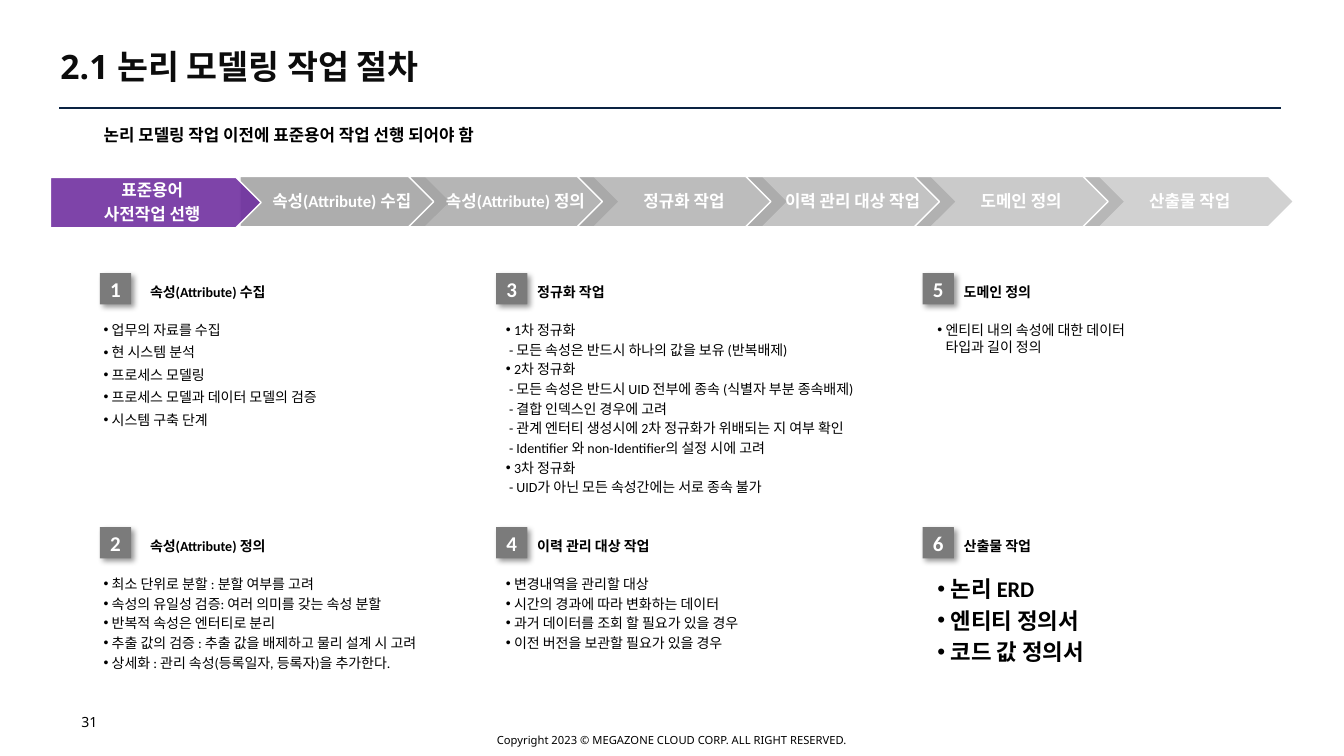
from dataclasses import dataclass
from pptx import Presentation
from pptx import util as u
from pptx.dml.color import RGBColor
from pptx.enum import shapes, text
from pptx.oxml import parse_xml
from pptx.oxml.ns import nsdecls, qn
from lxml import etree


@dataclass(frozen=True)
class Theme:
    black: str = "000000"
    title: str = "0C0C0C"
    white: str = "FFFFFF"
    rule: str = "0A2342"
    step: str = "A5A5A5"
    first_step: str = "7030A0"
    badge: str = "7B7B7B"
    heading_font: str = "Noto Sans"
    body_font: str = "Calibri"
    copyright_pt: float = 8
    body_pt: float = 10
    step_pt: float = 12
    badge_pt: float = 15
    output_pt: float = 16
    title_pt: float = 24


T = Theme()
LEFT, CENTER = text.PP_ALIGN.LEFT, text.PP_ALIGN.CENTER
MIDDLE, TOP = text.MSO_ANCHOR.MIDDLE, text.MSO_ANCHOR.TOP


def write(sp, lines, size, bold=False, color=T.black, font=T.body_font, align=LEFT,
          anchor=MIDDLE, spacing=1, before=0, margins=(0.1, 0.05, 0.1, 0.05), hang=0):
    tf = sp.text_frame
    tf.word_wrap = True
    tf.vertical_anchor = anchor
    tf.margin_left, tf.margin_top, tf.margin_right, tf.margin_bottom = map(u.Inches, margins)
    tf.text = "\n".join(lines)
    for i, p in enumerate(tf.paragraphs):
        p.alignment = align
        p.line_spacing = spacing
        p.space_before = u.Pt(before if i else 0)
        if hang:
            pPr = p._p.get_or_add_pPr()
            if p.text.startswith("-"):
                pPr.set("marL", str(u.Inches(0.03)))
            else:
                pPr.set("marL", str(u.Inches(hang)))
                pPr.set("indent", str(-u.Inches(hang)))
                etree.SubElement(pPr, qn("a:buFont")).set("typeface", "Arial")
                etree.SubElement(pPr, qn("a:buChar")).set("char", "•")
        for r in p.runs:
            r.font.size = u.Pt(size)
            r.font.bold = bold
            r.font.name = font
            r.font.color.rgb = RGBColor.from_string(color)


def textbox(x, y, w, h, lines, size, **style):
    sp = s.shapes.add_textbox(*map(u.Inches, (x, y, w, h)))
    write(sp, lines, size, **style)


prs = Presentation()
prs.slide_width, prs.slide_height = u.Inches(13.33), u.Inches(7.5)
s = prs.slides.add_slide(prs.slide_layouts[5])

rule = s.shapes.add_connector(shapes.MSO_CONNECTOR.STRAIGHT, *map(u.Inches, (0.59, 1.07, 12.71, 1.07)))
rule.line.color.rgb = RGBColor.from_string(T.rule)
rule.line.width = u.Pt(1.5)
etree.SubElement(rule._element.spPr, qn("a:effectLst"))

title = s.shapes.title
title.left, title.top, title.width, title.height = map(u.Inches, (0.6, 0.48, 8.32, 0.4))
write(title, ["2.1 논리 모델링 작업 절차"], T.title_pt, bold=True, color=T.title,
      font=T.heading_font, spacing=0.9, margins=(0, 0, 0, 0))

textbox(4.32, 7.13, 4.69, 0.3, ["Copyright 2023 © MEGAZONE CLOUD CORP. ALL RIGHT RESERVED."],
        T.copyright_pt, font=T.heading_font, align=CENTER, spacing=2)
textbox(0.71, 7.03, 3.69, 0.4, ["31"], T.body_pt, font=T.heading_font, anchor=TOP)
textbox(0.93, 1.14, 5.82, 0.3, ["논리 모델링 작업 이전에 표준용어 작업 선행 되어야 함"],
        T.step_pt, bold=True, spacing=1.5)

topics = [
    ("속성(Attribute) 수집", 4,
     ["업무의 자료를 수집", "현 시스템 분석", "프로세스 모델링",
      "프로세스 모델과 데이터 모델의 검증", "시스템 구축 단계"]),
    ("속성(Attribute) 정의", 2,
     ["최소 단위로 분할 : 분할 여부를 고려", "속성의 유일성 검증: 여러 의미를 갖는 속성 분할",
      "반복적 속성은 엔터티로 분리", "추출 값의 검증 : 추출 값을 배제하고 물리 설계 시 고려",
      "상세화 : 관리 속성(등록일자, 등록자)을 추가한다."]),
    ("정규화 작업", 2,
     ["1차 정규화", "- 모든 속성은 반드시 하나의 값을 보유 (반복배제)",
      "2차 정규화", "- 모든 속성은 반드시 UID 전부에 종속 (식별자 부분 종속배제)",
      "- 결합 인덱스인 경우에 고려", "- 관계 엔터티 생성시에 2차 정규화가 위배되는 지 여부 확인",
      "- Identifier 와 non-Identifier의 설정 시에 고려",
      "3차 정규화", "- UID가 아닌 모든 속성간에는 서로 종속 불가"]),
    ("이력 관리 대상 작업", 2,
     ["변경내역을 관리할 대상", "시간의 경과에 따라 변화하는 데이터",
      "과거 데이터를 조회 할 필요가 있을 경우", "이전 버전을 보관할 필요가 있을 경우"]),
    ("도메인 정의", 2, ["엔티티 내의 속성에 대한 데이터 타입과 길이 정의"]),
    ("산출물 작업", 3.2, ["논리 ERD", "엔티티 정의서", "코드 값 정의서"]),
]
columns = [(0.99, 0.93, 3.76), (4.92, 4.92, 4.08), (9.15, 9.2, 2.36)]
body_heights = [1.21, 1.08, 1.88, 0.88, 0.44, 1.02]

for i, (heading, before, lines) in enumerate(topics):
    col, row = divmod(i, 2)
    badge_x, body_x, body_w = columns[col]
    y = 2.71 + 2.52 * row
    is_output = i == len(topics) - 1
    textbox(body_x, y + 0.43, body_w, body_heights[i], lines,
            T.output_pt if is_output else T.body_pt, bold=is_output, anchor=TOP,
            before=before, hang=0.13 if is_output else 0.08)
    textbox(badge_x + 0.31, y - 0.01, 1.52, 0.3, [heading], T.body_pt, bold=True,
            align=LEFT if col else CENTER, spacing=1.5)
    badge = s.shapes.add_shape(shapes.MSO_SHAPE.ROUNDED_RECTANGLE,
                               *map(u.Inches, (badge_x, y, 0.31, 0.31)))
    badge.adjustments[0] = 0.01
    badge.fill.solid()
    badge.fill.fore_color.rgb = RGBColor.from_string(T.badge)
    badge.line.fill.background()
    badge.shadow.inherit = False
    badge._element.spPr.find(qn("a:effectLst")).append(parse_xml(
        f'<a:outerShdw {nsdecls("a")} blurRad="{u.Pt(4)}" dist="{u.Pt(3)}" dir="2700000" rotWithShape="0">'
        f'<a:srgbClr val="{T.black}"><a:alpha val="40000"/></a:srgbClr></a:outerShdw>'))
    write(badge, [str(i + 1)], T.badge_pt, bold=True, color=T.white, align=CENTER,
          margins=(0, 0, 0, 0))

step_w, step_h, tip = 2.09, 0.5, 0.25
steps = [(2.38 + 1.672 * i, 1.75, [heading], T.step, 90 - 8 * i, i > 0)
         for i, (heading, _, _) in enumerate(topics)]
steps.append((0.5, 1.76, ["표준용어", "사전작업 선행"], T.first_step, 90, False))

for x, y, lines, color, opacity, notched in steps:
    outline = [(x + step_w - tip, y), (x + step_w, y + step_h / 2),
               (x + step_w - tip, y + step_h), (x, y + step_h)]
    if notched:
        outline.append((x + tip, y + step_h / 2))
    fb = s.shapes.build_freeform(u.Inches(x), u.Inches(y))
    fb.add_line_segments([(u.Inches(px), u.Inches(py)) for px, py in outline], close=True)
    step = fb.convert_to_shape()
    step.shadow.inherit = False
    step.fill.solid()
    step.fill.fore_color.rgb = RGBColor.from_string(color)
    fill_color = step._element.spPr.find(qn("a:solidFill")).find(qn("a:srgbClr"))
    etree.SubElement(fill_color, qn("a:alpha")).set("val", str(opacity * 1000))
    step.line.color.rgb = RGBColor.from_string(T.white)
    step.line.width = u.Pt(1)
    write(step, lines, T.step_pt, bold=True, color=T.white, align=CENTER, spacing=0.9,
          before=4.2, margins=(0.3, 0.03, 0.27, 0.03) if notched else (0.07, 0.03, 0.14, 0.03))

prs.save("out.pptx")
